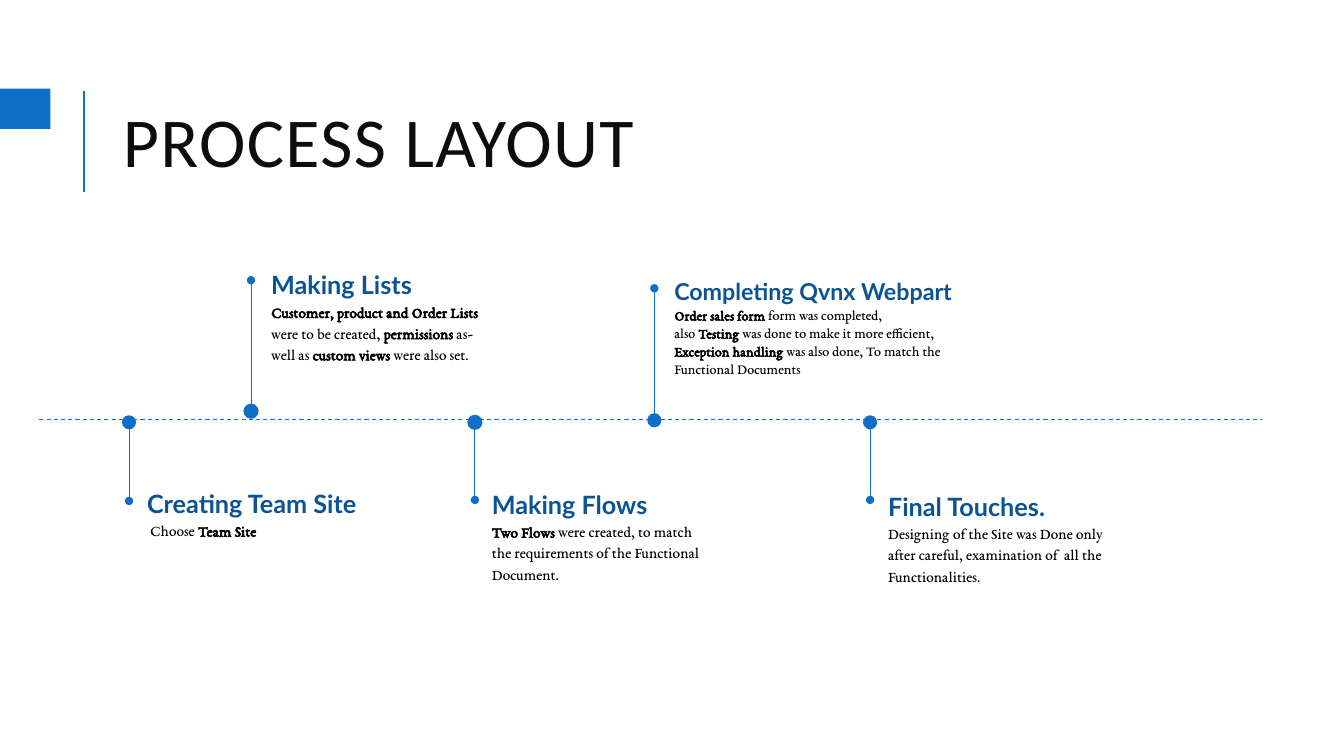
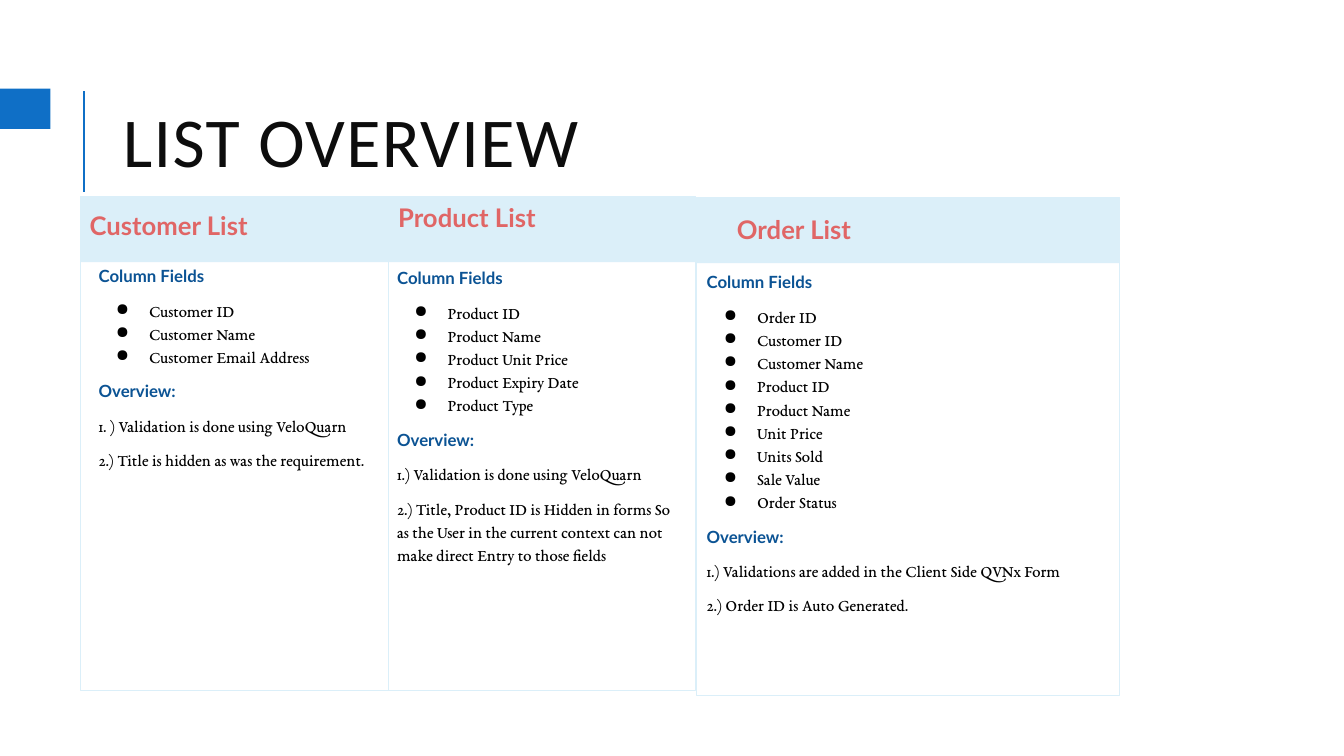
from dataclasses import dataclass

from lxml.etree import SubElement
from pptx import Presentation
from pptx.dml.color import RGBColor
from pptx.enum.dml import MSO_LINE_DASH_STYLE as Dash
from pptx.enum.shapes import MSO_CONNECTOR as Connector, MSO_SHAPE as Shape
from pptx.enum.text import MSO_ANCHOR as Anchor
from pptx.oxml.ns import qn
from pptx.slide import Slide
from pptx.text.text import TextFrame
from pptx.util import Inches, Pt


@dataclass(frozen=True)
class Theme:
    accent: str = "0F6FC6"
    pale: str = "DBEFF9"
    heading: str = "0B5394"
    coral: str = "E06666"
    ink: str = "0D0D0D"
    black: str = "000000"
    title_font: str = "Calibri"
    heading_font: str = "Lato"
    body_font: str = "EB Garamond"
    title_size: float = 50
    heading_size: float = 18
    step_size: float = 11
    panel_heading_size: float = 18.3
    panel_size: float = 12
    thin: float = 0.75
    thick: float = 1.5


THEME = Theme()


@dataclass(frozen=True)
class Area:
    left: float
    top: float
    width: float
    height: float


@dataclass(frozen=True)
class Milestone:
    x: float
    dot_y: float
    tip_y: float
    text_area: Area
    heading: str
    lines: tuple[str, ...]
    heading_size: float = THEME.heading_size
    body_size: float = THEME.step_size
    spacing: float = 1.15
    outlined: bool = False


@dataclass(frozen=True)
class ListPanel:
    area: Area
    heading_area: Area
    text_area: Area
    heading: str
    fields: tuple[str, ...]
    notes: tuple[str, ...]


TIMELINE_Y = 4.16
DOT_SIZE = 0.14
BAND_HEIGHT = 0.65

MILESTONES = (
    Milestone(1.28, 4.19, 4.97, Area(1.36, 4.7, 2.38, 1.32),
              "Creating Team Site", (" Choose **Team Site**",)),
    Milestone(2.49, 4.08, 2.78, Area(2.59, 2.53, 2.38, 1.37),
              "Making Lists",
              ("**Customer, product and Order Lists** were to be created, "
               "**permissions **as-well as **custom views** were also set.",),
              outlined=True),
    Milestone(4.71, 4.19, 4.96, Area(4.78, 4.71, 2.38, 1.32),
              "Making Flows",
              ("**Two Flows** were created, to match the requirements "
               "of the Functional Document.",),
              outlined=True),
    Milestone(6.49, 4.17, 2.86, Area(6.59, 2.64, 3.23, 1.2),
              "Completing Qvnx Webpart",
              ("**Order sales form** form was completed,",
               "also **Testing** was done to make it more efficient,",
               "**Exception handling** was also done, To match the "
               "Functional Documents"),
              heading_size=16.6, body_size=10.2, spacing=1.05),
    Milestone(8.63, 4.19, 4.96, Area(8.71, 4.73, 2.38, 1.32),
              "Final Touches.",
              ("Designing of the Site was Done only after careful, "
               "examination of  all the Functionalities.",)),
)

PANELS = (
    ListPanel(Area(0.8, 1.95, 3.05, 4.9), Area(0.79, 2, 3.88, 0.53),
              Area(0.88, 2.51, 2.97, 4.38), "Customer List",
              ("Customer ID", "Customer Name", "Customer Email Address"),
              ("1. ) Validation is done using VeloQuarn",
               "2.) Title is hidden as was the requirement.")),
    ListPanel(Area(3.85, 1.95, 3.05, 4.9), Area(3.85, 1.93, 3.14, 0.53),
              Area(3.84, 2.53, 3.05, 4.32), "Product List",
              ("Product ID", "Product Name", "Product Unit Price",
               "Product Expiry Date", "Product Type"),
              ("1.) Validation is done using VeloQuarn",
               "2.) Title, Product ID is Hidden in forms So as the User in "
               "the current context can not make direct Entry to those fields")),
    ListPanel(Area(6.91, 1.96, 4.19, 4.94), Area(7.21, 2.04, 3.88, 0.53),
              Area(6.91, 2.57, 4.18, 4.32), "Order List",
              ("Order ID", "Customer ID", "Customer Name", "Product ID",
               "Product Name", "Unit Price", "Units Sold", "Sale Value",
               "Order Status"),
              ("1.) Validations are added in the Client Side QVNx Form",
               "2.) Order ID is Auto Generated.")),
)


def rgb(color: str) -> RGBColor:
    return RGBColor.from_string(color)


def add_box(slide: Slide, area: Area, inset: float = 0.1,
            anchor: Anchor = Anchor.TOP) -> TextFrame:
    box = slide.shapes.add_textbox(Inches(area.left), Inches(area.top),
                                   Inches(area.width), Inches(area.height))
    frame = box.text_frame
    frame.word_wrap = True
    frame.vertical_anchor = anchor
    frame.margin_left = frame.margin_right = Inches(0.1)
    frame.margin_top = frame.margin_bottom = Inches(inset)
    return frame


def write(frame: TextFrame, text: str, *, font: str = THEME.body_font,
          size: float = THEME.panel_size, color: str = THEME.black,
          bold: bool = False, spacing: float = 1.15, before: float = 0,
          after: float = 0, tracking: float = 0, bullet: str = "") -> None:
    para = frame.paragraphs[0] if not frame.text else frame.add_paragraph()
    para.line_spacing = spacing
    para.space_before = Pt(before)
    para.space_after = Pt(after)
    for index, part in enumerate(text.split("**")):
        if not part:
            continue
        span = para.add_run()
        span.text = part
        span.font.name = font
        span.font.size = Pt(size)
        span.font.bold = bold or index % 2 == 1
        span.font.color.rgb = rgb(color)
        if tracking:
            span._r.get_or_add_rPr().set("spc", str(round(tracking * 100)))
    if bullet:
        properties = para._p.get_or_add_pPr()
        properties.set("marL", str(Inches(0.5)))
        properties.set("indent", str(Inches(-0.33)))
        bullet_color = SubElement(properties, qn("a:buClr"))
        SubElement(bullet_color, qn("a:srgbClr"), val=color)
        SubElement(properties, qn("a:buChar"), char=bullet)


def add_figure(slide: Slide, kind: Shape, area: Area, *,
               fill: str = "", line: str = "") -> None:
    shape = slide.shapes.add_shape(kind, Inches(area.left), Inches(area.top),
                                   Inches(area.width), Inches(area.height))
    shape.shadow.inherit = False
    if fill:
        shape.fill.solid()
        shape.fill.fore_color.rgb = rgb(fill)
    else:
        shape.fill.background()
    if line:
        shape.line.color.rgb = rgb(line)
        shape.line.width = Pt(THEME.thin)
    else:
        shape.line.fill.background()


def add_line(slide: Slide, start: tuple[float, float], end: tuple[float, float], *,
             width: float = THEME.thin, dashed: bool = False,
             oval_end: bool = False) -> None:
    line = slide.shapes.add_connector(
        Connector.STRAIGHT, Inches(start[0]), Inches(start[1]),
        Inches(end[0]), Inches(end[1]))
    line.line.color.rgb = rgb(THEME.accent)
    line.line.width = Pt(width)
    if dashed:
        line.line.dash_style = Dash.DASH
    properties = line._element.spPr
    if oval_end:
        SubElement(properties.find(qn("a:ln")), qn("a:tailEnd"), type="oval")
    SubElement(properties, qn("a:effectLst"))


def add_titled_page(deck: Presentation, title: str) -> Slide:
    page = deck.slides.add_slide(deck.slide_layouts[6])
    add_line(page, (0.83, 1.9), (0.83, 0.9), width=THEME.thick)
    add_figure(page, Shape.RECTANGLE, Area(0, 0.88, 0.5, 0.4), fill=THEME.accent)
    frame = add_box(page, Area(1.12, 0.64, 10.63, 1.64), 0.05, Anchor.MIDDLE)
    write(frame, title, font=THEME.title_font, size=THEME.title_size,
          color=THEME.ink, spacing=0.8, tracking=1)
    return page


def draw_milestone(page: Slide, step: Milestone) -> None:
    dot = Area(step.x - DOT_SIZE / 2, step.dot_y - DOT_SIZE / 2, DOT_SIZE, DOT_SIZE)
    add_figure(page, Shape.OVAL, dot, fill=THEME.accent,
               line=THEME.accent if step.outlined else "")
    add_line(page, (step.x, step.dot_y), (step.x, step.tip_y), oval_end=True)
    frame = add_box(page, step.text_area)
    write(frame, step.heading, font=THEME.heading_font, size=step.heading_size,
          color=THEME.heading, bold=True, spacing=step.spacing)
    for text in step.lines:
        write(frame, text, size=step.body_size, spacing=step.spacing)


def draw_panel(page: Slide, panel: ListPanel) -> None:
    area = panel.area
    add_figure(page, Shape.RECTANGLE, area, line=THEME.pale)
    add_figure(page, Shape.RECTANGLE,
               Area(area.left, area.top, area.width, BAND_HEIGHT), fill=THEME.pale)
    write(add_box(page, panel.heading_area), panel.heading,
          font=THEME.heading_font, size=THEME.panel_heading_size,
          color=THEME.coral, bold=True, spacing=0.95)
    frame = add_box(page, panel.text_area)
    label = {"font": THEME.heading_font, "color": THEME.heading, "bold": True}
    write(frame, "Column Fields", **label)
    for index, field in enumerate(panel.fields):
        write(frame, field, bullet="●", before=0 if index else 8)
    write(frame, "Overview:", before=8, **label)
    for note in panel.notes:
        write(frame, note, before=8, after=8 if note == panel.notes[-1] else 0)


def main() -> None:
    deck = Presentation()
    deck.slide_width = Inches(13.33)
    deck.slide_height = Inches(7.5)

    process = add_titled_page(deck, "PROCESS LAYOUT")
    add_line(process, (0.39, TIMELINE_Y), (12.52, TIMELINE_Y), dashed=True)
    for step in MILESTONES:
        draw_milestone(process, step)

    overview = add_titled_page(deck, "LIST OVERVIEW")
    for panel in PANELS:
        draw_panel(overview, panel)

    deck.save("out.pptx")


if __name__ == "__main__":
    main()
